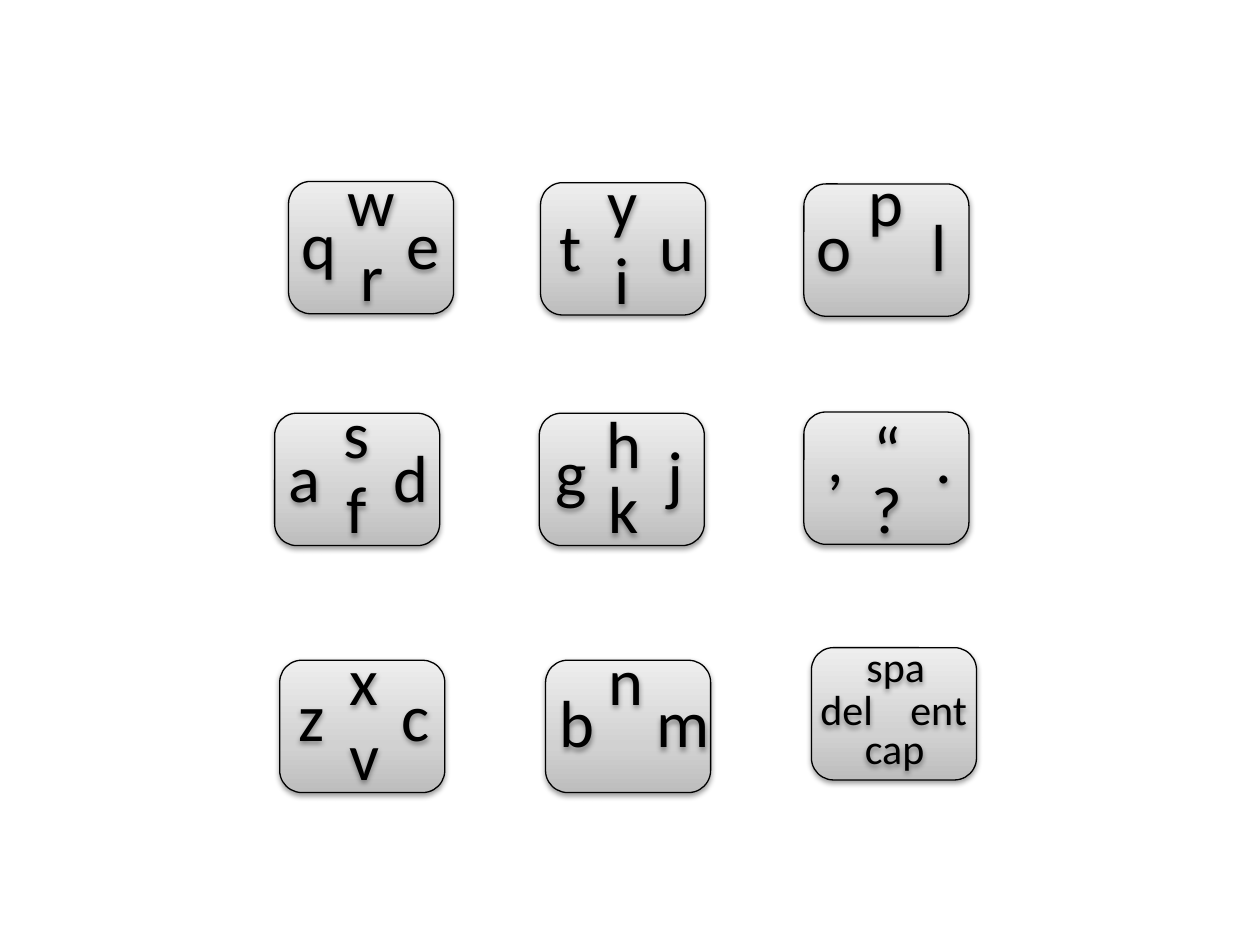
from lxml import etree
from pptx import Presentation, util as u
from pptx.dml.color import RGBColor
from pptx.enum import shapes, text
from pptx.oxml import ns

# Each key: column, row, nudge of the key, then its labels by slot.
# A label may carry its own nudge from the slot (inches, right and down).
KEYS = [
    (2, 0, (-0.02, 0.01), {"left": ("o",), "right": ("l",), "top": ("p", -0.01, -0.02)}),
    (0, 0, (0.09, -0.01), {"left": ("q",), "right": ("e",), "bottom": ("r",), "top": ("w",)}),
    (1, 0, (-0.01, 0), {"left": ("t", 0, 0.01), "right": ("u", 0.01, 0.01),
                        "bottom": ("i", -0.01, 0.01), "top": ("y", -0.01, 0)}),
    (0, 1, (-0.02, 0), {"left": ("a", 0, 0.01), "right": ("d", 0.01, 0.01),
                        "bottom": ("f", -0.01, 0), "top": ("s", -0.01, 0)}),
    (1, 1, (-0.02, 0), {"left": ("g", 0.01, -0.03), "right": ("j", 0.01, -0.02),
                        "bottom": ("k", 0.01, 0), "top": ("h", 0.01, 0.08)}),
    (2, 1, (-0.02, -0.01), {"left": (",", 0.01, -0.14), "right": (".", 0.04, -0.13),
                            "bottom": ("?", 0, 0.01), "top": ("“", 0, 0.14)}),
    (0, 2, (0.02, 0), {"left": ("z", 0.01, -0.05), "right": ("c", 0.01, -0.05),
                       "bottom": ("v", 0.01, 0), "top": ("x", 0.01, 0)}),
    (1, 2, (0.03, 0), {"left": ("b", 0.01, 0), "right": ("m", 0.01, 0), "top": ("n", -0.02, 0)}),
    (2, 2, (0.04, -0.1), {"left": ("del", 0.04, 0), "right": ("ent", -0.06, 0),
                          "bottom": ("cap", 0, 0.05), "top": ("spa", 0.01, 0)}),
]

THEME = {
    "font": "Calibri",
    "ink": RGBColor(0, 0, 0),
    "letter": {"size": 38, "box": (0.4, 0.93)},
    "word": {"size": 24, "box": (0.66, 0.66)},
    "gradient": [(0, "BDBDBD"), (35, "D1D1D1"), (100, "EEEEEE")],
}

# Grid origin and pitch, and slot centres inside a key
COLUMNS = [2.2 + 2.1 * column for column in range(3)]
ROWS = [1.45, 3.28, 5.24]
KEY_SIZE = (1.31, 1.05)
SLOTS = {"left": (0.24, 0.51), "right": (1.07, 0.51),
         "bottom": (0.66, 0.77), "top": (0.66, 0.17)}

SHADOW = f"""<a:effectLst {ns.nsdecls('a')}>
<a:outerShdw blurRad="40000" dist="20000" dir="5400000" rotWithShape="0">
<a:srgbClr val="000000"><a:alpha val="38000"/></a:srgbClr></a:outerShdw></a:effectLst>"""


def add_shadow(shape):
    shape.shadow.inherit = False
    empty = shape.element.spPr.find(ns.qn("a:effectLst"))
    empty.getparent().replace(empty, etree.fromstring(SHADOW))


def fill_gradient(shape):
    shape.fill.gradient()
    shape.fill.gradient_angle = 90
    stops = shape.element.spPr.find(".//" + ns.qn("a:gsLst"))
    for stop in list(stops):
        stops.remove(stop)
    for position, colour in THEME["gradient"]:
        stop = etree.SubElement(stops, ns.qn("a:gs"), pos=str(position * 1000))
        etree.SubElement(stop, ns.qn("a:srgbClr"), val=colour)


def add_key(group, left, top):
    key = group.shapes.add_shape(shapes.MSO_SHAPE.ROUNDED_RECTANGLE,
                                 *map(u.Inches, (left, top, *KEY_SIZE)))
    fill_gradient(key)
    key.line.color.rgb = THEME["ink"]
    key.line.width = u.Pt(0.75)
    add_shadow(key)


def add_label(group, label, centre_x, centre_y):
    style = THEME["letter" if len(label) == 1 else "word"]
    width, height = style["box"]
    box = group.shapes.add_textbox(*map(u.Inches, (
        centre_x - width / 2, centre_y - height / 2, width, height)))
    add_shadow(box)
    frame = box.text_frame
    frame.text = label
    frame.word_wrap = False
    frame.auto_size = text.MSO_AUTO_SIZE.SHAPE_TO_FIT_TEXT
    frame.vertical_anchor = text.MSO_ANCHOR.MIDDLE
    frame.margin_left = frame.margin_right = 0
    frame.margin_top, frame.margin_bottom = u.Inches(0.1), u.Inches(0.15)
    para = frame.paragraphs[0]
    para.alignment = text.PP_ALIGN.CENTER
    font = para.runs[0].font
    font.name, font.size = THEME["font"], u.Pt(style["size"])
    font.color.rgb = THEME["ink"]


def main():
    deck = Presentation()
    deck.slide_width, deck.slide_height = u.Inches(10), u.Inches(7.5)
    page = deck.slides.add_slide(deck.slide_layouts[6])

    # One group per key: the cap and its labels
    for column, row, (shift_x, shift_y), labels in KEYS:
        left, top = COLUMNS[column] + shift_x, ROWS[row] + shift_y
        group = page.shapes.add_group_shape()
        add_key(group, left, top)
        for slot, (label, *nudge) in labels.items():
            slot_x, slot_y = SLOTS[slot]
            nudge_x, nudge_y = nudge or (0, 0)
            add_label(group, label, left + slot_x + nudge_x, top + slot_y + nudge_y)

    deck.save("out.pptx")


if __name__ == "__main__":
    main()
